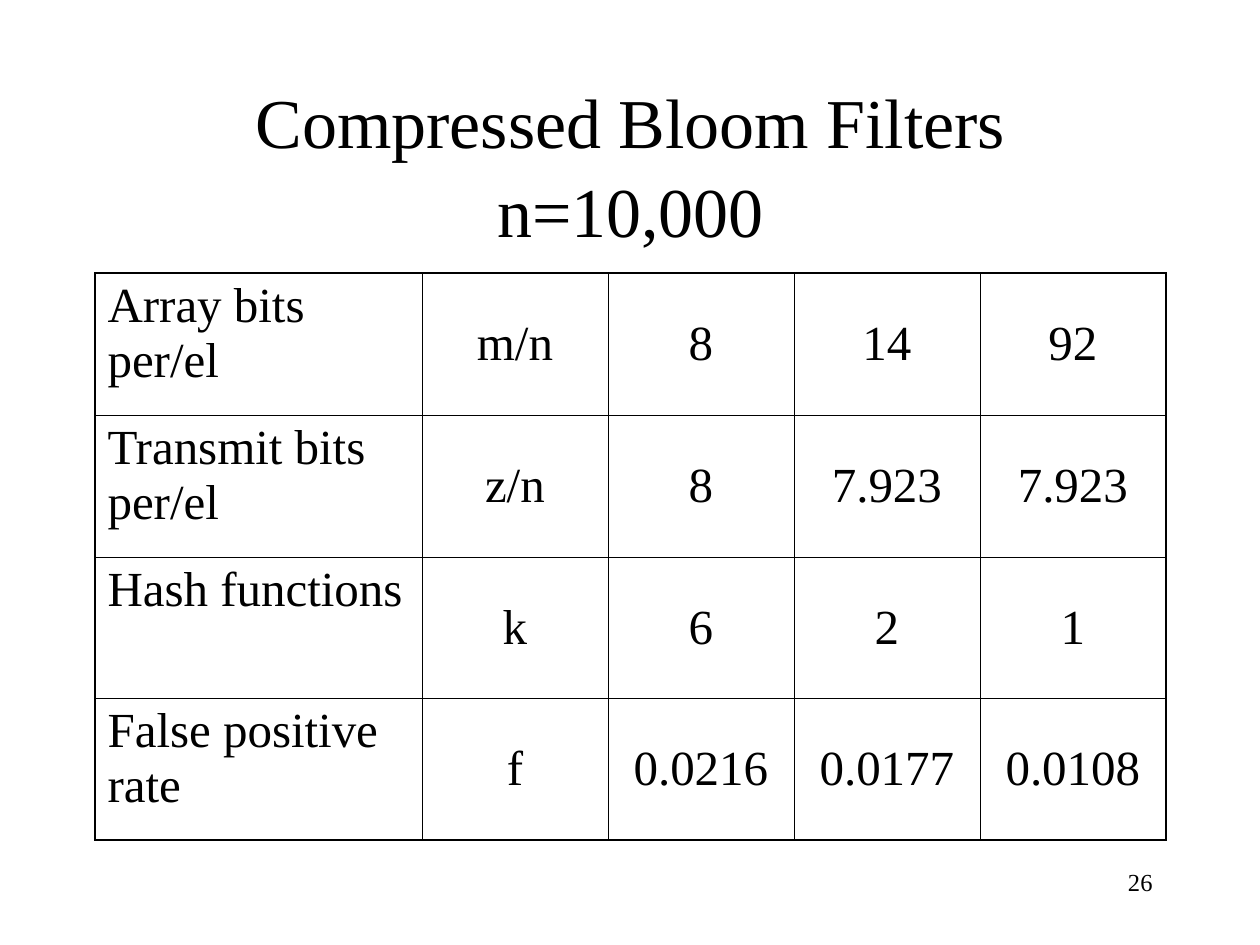
import pptx
import pptx.util
import pptx.dml.color
import pptx.enum.text
import pptx.oxml.ns
import lxml.etree

SCALE = 914400 / 126
INK = "000000"
ALIGN = pptx.enum.text.PP_ALIGN
ANCHOR = pptx.enum.text.MSO_ANCHOR

TITLE = ["Compressed Bloom Filters", "n=10,000"]
ROWS = [
    ["Array bits per/el", "m/n", "8", "14", "92"],
    ["Transmit bits per/el", "z/n", "8", "7.923", "7.923"],
    ["Hash functions", "k", "6", "2", "1"],
    ["False positive rate", "f", "0.0216", "0.0177", "0.0108"],
]
WIDTHS = [327] + [186] * 4
HEIGHTS = [142, 142, 141, 142]
FRAME = {
    "word_wrap": True,
    "auto_size": pptx.enum.text.MSO_AUTO_SIZE.NONE,
    "margin_left": pptx.util.Inches(0.1),
    "margin_right": pptx.util.Inches(0.1),
    "margin_top": pptx.util.Inches(0.05),
    "margin_bottom": pptx.util.Inches(0.05),
}


def px(num):
    return round(num * SCALE)


def paint(code):
    return pptx.dml.color.RGBColor.from_string(code)


def apply(item, vals):
    for key, val in vals.items():
        setattr(item, key, val)


def place(item, left, top, width, height):
    apply(item, {"left": px(left), "top": px(top),
                 "width": px(width), "height": px(height)})


def write(frame, lines, size, form):
    """Fill the first paragraph, with a line break between lines."""
    para = frame.paragraphs[0]
    apply(para, form)
    for num, line in enumerate(lines):
        if num:
            para.add_line_break()
        run = para.add_run()
        run.text = line
        apply(run.font, {"name": "Times New Roman",
                         "size": pptx.util.Pt(size)})
        run.font.color.rgb = paint(INK)


def border(cell, sides):
    """Draw cell edges from a dict of tag and width in points."""
    props = cell._tc.get_or_add_tcPr()
    name = pptx.oxml.ns.qn
    for tag, width in sides.items():
        edge = lxml.etree.SubElement(props, name(tag),
                                     w=str(pptx.util.Pt(width)))
        fill = lxml.etree.SubElement(edge, name("a:solidFill"))
        lxml.etree.SubElement(fill, name("a:srgbClr"), val=INK)


def add_title(slide):
    title = slide.shapes.title
    place(title, 95, 84, 1071, 158)
    apply(title.text_frame, FRAME | {"vertical_anchor": ANCHOR.MIDDLE})
    write(title.text_frame, TITLE, 40,
          {"alignment": ALIGN.CENTER, "line_spacing": 1.05})


def add_grid(slide):
    table = slide.shapes.add_table(
        len(ROWS), len(WIDTHS), px(95), px(273),
        px(sum(WIDTHS)), px(sum(HEIGHTS))).table
    apply(table, {"first_row": False, "horz_banding": False})
    for col, width in zip(table.columns, WIDTHS):
        col.width = px(width)
    for row, height in zip(table.rows, HEIGHTS):
        row.height = px(height)

    def edge(outer):
        return 1.08 if outer else 0.45

    for r, row in enumerate(ROWS):
        for c, text in enumerate(row):
            cell = table.cell(r, c)
            border(cell, {"a:lnL": edge(c == 0),
                          "a:lnR": edge(c == len(WIDTHS) - 1),
                          "a:lnT": edge(r == 0),
                          "a:lnB": edge(r == len(ROWS) - 1)})
            cell.fill.background()
            cell.vertical_anchor = ANCHOR.MIDDLE if c else ANCHOR.TOP
            write(cell.text_frame, [text], 28,
                  {"alignment": ALIGN.CENTER if c else ALIGN.LEFT,
                   "space_before": pptx.util.Pt(7)})


def add_number(slide):
    box = slide.shapes.add_textbox(px(903), px(861), px(262), px(63))
    apply(box.text_frame, FRAME)
    write(box.text_frame, ["26"], 14, {"alignment": ALIGN.RIGHT})


def main():
    deck = pptx.Presentation()
    apply(deck, {"slide_width": px(1260), "slide_height": px(945)})
    slide = deck.slides.add_slide(deck.slide_layouts[5])
    add_title(slide)
    add_grid(slide)
    add_number(slide)
    deck.save("out.pptx")


if __name__ == "__main__":
    main()
